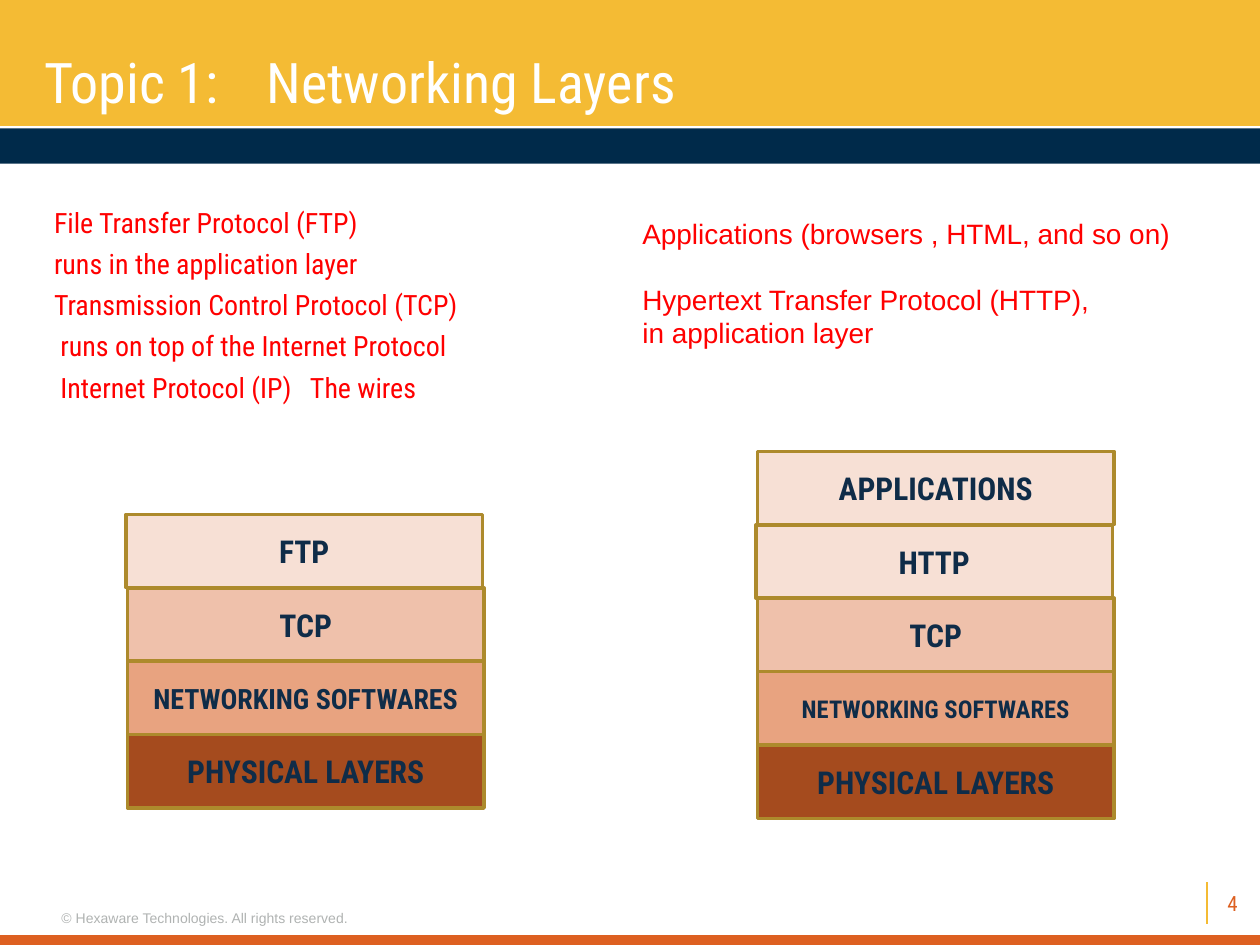
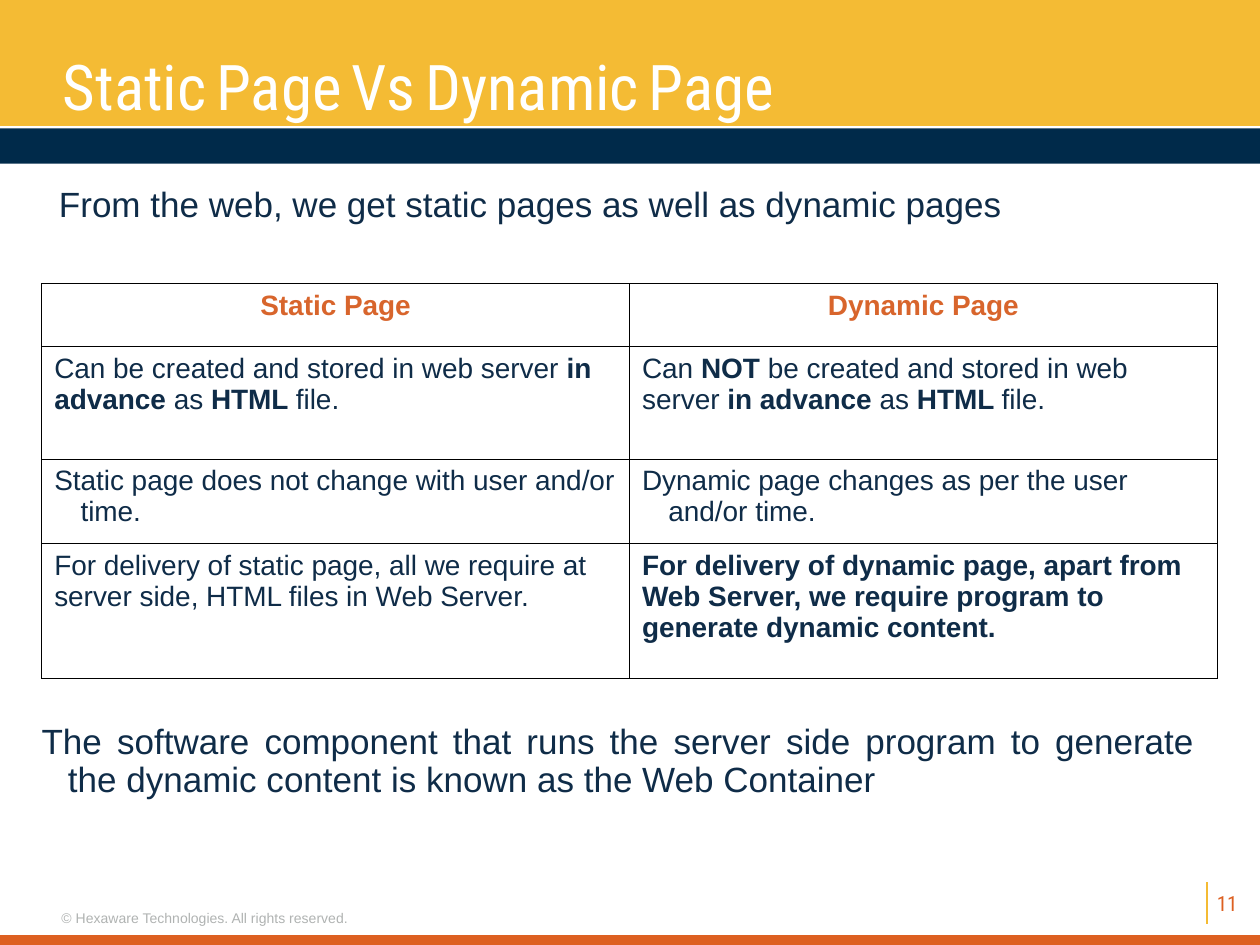
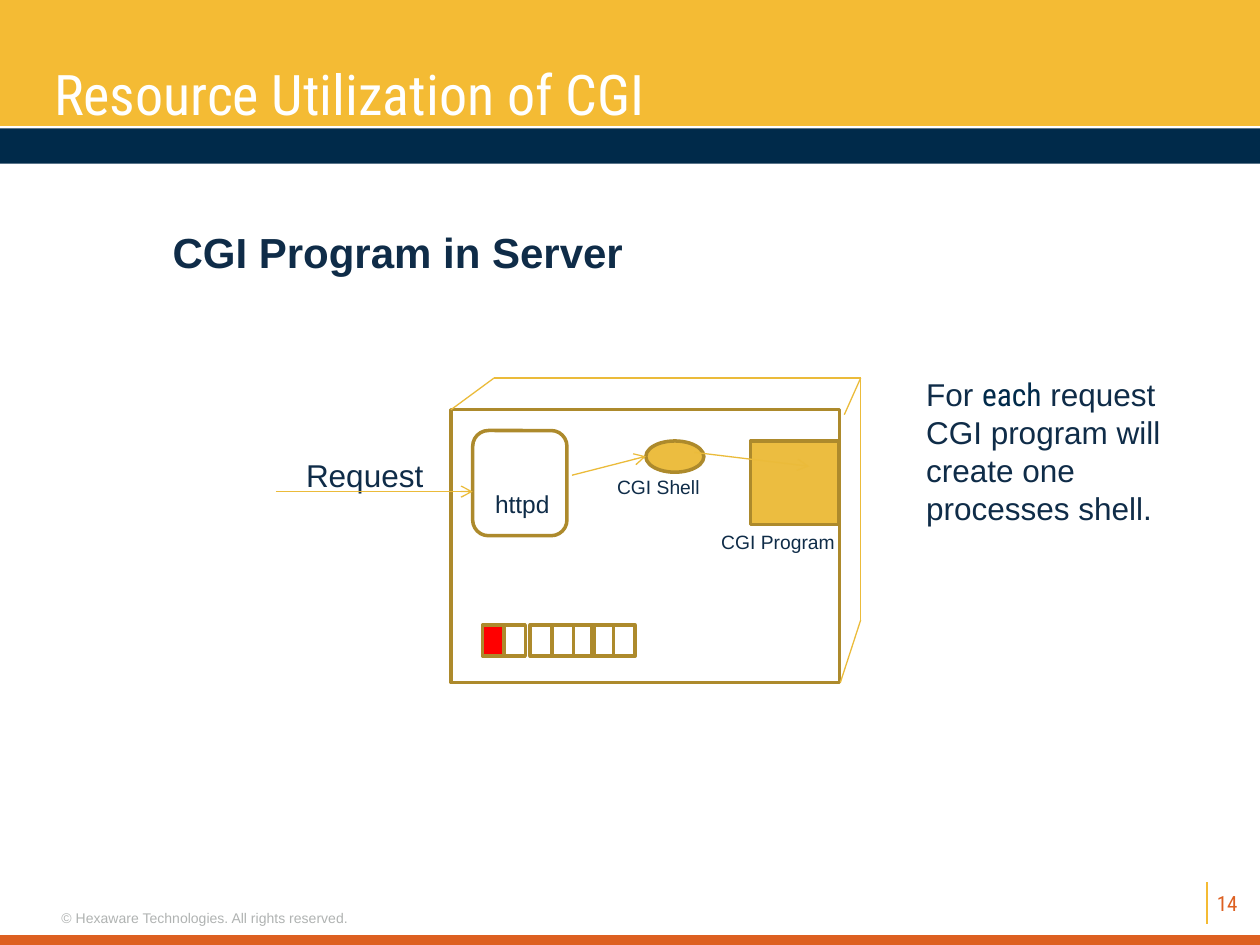
from lxml import etree
from pptx import Presentation
from pptx.dml.color import RGBColor
from pptx.enum.shapes import MSO_CONNECTOR, MSO_SHAPE
from pptx.enum.text import MSO_ANCHOR, PP_ALIGN
from pptx.oxml.ns import qn
from pptx.util import Cm, Pt

RECT, ROUND = MSO_SHAPE.RECTANGLE, MSO_SHAPE.ROUNDED_RECTANGLE
PROC, OVAL = MSO_SHAPE.FLOWCHART_PROCESS, MSO_SHAPE.OVAL
LEFT, MID = PP_ALIGN.LEFT, PP_ALIGN.CENTER
RIGHT, JUST = PP_ALIGN.RIGHT, PP_ALIGN.JUSTIFY
CENTER = MSO_ANCHOR.MIDDLE
LINE = MSO_CONNECTOR.STRAIGHT

HUES = {
    "gold": "F4BB34", "deep": "002A4A", "rust": "DD6021", "gray": "B0B3B2",
    "navy": "0F2C48", "red": "FF0000", "white": "FFFFFF", "head": "D8652C",
    "edge": "AD8A2C", "wire": "EBBB3A", "amber": "ECBD40", "black": "000000",
    "pale": "F7E0D5", "peach": "EFC1AB", "coral": "E8A380", "brick": "A54B1E",
}
RGB = {key: RGBColor.from_string(val) for key, val in HUES.items()}

# Text formats
ROBO, SANS = "Roboto Condensed", "Arial"
TITLE = {"name": ROBO, "size": Pt(32), "ink": "white"}
BIG = {**TITLE, "size": Pt(36)}
PAGE = {"name": ROBO, "size": Pt(12), "ink": "rust"}
FOOT = {"name": SANS, "size": Pt(8), "ink": "gray"}
NOTE = {"name": SANS, "size": Pt(16), "ink": "red"}
BODY = {"name": SANS, "size": Pt(20), "ink": "navy"}
CELL = {**BODY, "size": Pt(16)}
LAYER = {"name": ROBO, "size": Pt(18), "ink": "navy", "bold": True}


def write(frame, paras, fmt, hang=0, tab=0, **lay):
    """Fill a text frame; a paragraph is a string or a list of (text, format)."""
    frame.word_wrap = True
    for i, runs in enumerate(paras):
        para = frame.add_paragraph() if i else frame.paragraphs[0]
        for key, val in lay.items():
            if i or key != "space_before":
                setattr(para, key, val)
        props = para._p.get_or_add_pPr()
        if hang:
            props.set("marL", str(Cm(hang)))
            props.set("indent", str(-Cm(hang)))
        if tab:
            tabs = etree.SubElement(props, qn("a:tabLst"))
            etree.SubElement(tabs, qn("a:tab"), pos=str(Cm(tab)), algn="l")
        for text, more in [(runs, {})] if isinstance(runs, str) else runs:
            run = para.add_run()
            run.text = text
            for key, val in {**fmt, **more}.items():
                if key == "ink":
                    run.font.color.rgb = RGB[val]
                else:
                    setattr(run.font, key, val)


def put(slide, kind, at, paras=(), fmt=None, fill=None, line=None, **lay):
    """Add a preset shape, or a text box when kind is None."""
    spot = [Cm(n) for n in at]
    if kind is None:
        shape = slide.shapes.add_textbox(*spot)
    else:
        shape = slide.shapes.add_shape(kind, *spot)
        shape.shadow.inherit = False
        if fill:
            shape.fill.solid()
            shape.fill.fore_color.rgb = RGB[fill]
        else:
            shape.fill.background()
        if line:
            shape.line.color.rgb = RGB[line]
            shape.line.width = Pt(2)
        else:
            shape.line.fill.background()
    write(shape.text_frame, paras, fmt, **lay)
    return shape


deck = Presentation()
deck.slide_width, deck.slide_height = Cm(25.4), Cm(19.05)
links = []

# Shared bands, footer and page number
pages = []
for num in ("4", "11", "14"):
    slide = deck.slides.add_slide(deck.slide_layouts[6])
    pages.append(slide)
    for top, high, hue in ((0, 2.54, "gold"), (2.59, 0.71, "deep"), (18.85, 0.2, "rust")):
        put(slide, RECT, (0, top, 25.4, high), fill=hue)
    links.append((slide, (24.33, 17.78, 24.33, 18.62), "gold", False))
    mark = put(slide, None, (24.13, 17.78, 1.07, 0.84), [num], PAGE, alignment=RIGHT)
    mark.text_frame.vertical_anchor = CENTER
    put(slide, None, (0.99, 18.21, 6.43, 0.61),
        ["© Hexaware Technologies. All rights reserved."], FOOT)
nets, webs, cgi = pages

# Networking layers: title and notes
put(nets, None, (0.64, 0.84, 20.32, 1.63), ["Topic 1:\tNetworking Layers"], TITLE, tab=4.48)
ftp = put(nets, None, (0.84, 4.01, 10.6, 4.45), [
    "File Transfer Protocol (FTP)",
    "runs in the application layer",
    "Transmission Control Protocol (TCP)",
    "runs on top of the Internet Protocol",
    "Internet Protocol (IP)\tThe wires",
], {**NOTE, "name": ROBO}, tab=5.03, space_before=Pt(4.4))
for para in ftp.text_frame.paragraphs[3:]:
    para._p.get_or_add_pPr().set("marL", str(Cm(0.13)))
http = put(nets, None, (12.7, 4.24, 11.23, 3.66), [
    "Applications (browsers , HTML, and so on)",
    "Hypertext Transfer Protocol (HTTP),",
    "in application layer",
], NOTE)
http.text_frame.paragraphs[1].space_before = Pt(18.4)

# Networking layers: the two stacks
wide, high = 7.19, 1.48
base = [("TCP", "peach", 18), ("NETWORKING SOFTWARES", "coral", 16),
        ("PHYSICAL LAYERS", "brick", 18)]
stacks = [
    (2.57, 10.37, [("FTP", "pale", 18)] + base),
    (15.27, 9.1, [("APPLICATIONS", "pale", 18), ("HTTP", "pale", 18), base[0],
                  ("NETWORKING SOFTWARES", "coral", 14), base[2]]),
]
for left, top, layers in stacks:
    for i, (name, hue, size) in enumerate(layers):
        nudge = 0.03 if name in ("FTP", "HTTP") else 0
        put(nets, RECT, (left - nudge, top + i * high, wide, high), [name],
            {**LAYER, "size": Pt(size)}, hue, "edge", alignment=MID)

# Static and dynamic pages: comparison table
rows = [
    ("Static Page", "Dynamic Page"),
    ("Can be created and stored in web server *in advance *as* HTML *file.",
     "Can *NOT *be created and stored in web server *in advance *as* HTML *file."),
    ("Static page does not change with user and/or time.",
     "Dynamic page changes as per the user and/or time."),
    ("For delivery of static page, all we require at server side, "
     "HTML files in Web Server.",
     "*For delivery of dynamic page, apart from Web Server, "
     "we require program to generate dynamic content."),
]
table = webs.shapes.add_table(4, 2, Cm(0.84), Cm(5.72), Cm(23.7), Cm(7.96)).table
for col in table.columns:
    col.width = Cm(11.85)
for r, tall in enumerate((1.27, 2.27, 1.7, 2.72)):
    table.rows[r].height = Cm(tall)
    for c, text in enumerate(rows[r]):
        cell = table.cell(r, c)
        props = cell._tc.get_or_add_tcPr()
        for side in ("a:lnL", "a:lnR", "a:lnT", "a:lnB"):
            rule = etree.SubElement(props, qn(side), w=str(Pt(0.45)))
            ink = etree.SubElement(rule, qn("a:solidFill"))
            etree.SubElement(ink, qn("a:srgbClr"), val=HUES["black"])
        cell.fill.solid()
        cell.fill.fore_color.rgb = RGB["white"]
        runs = [(part, {"bold": r == 0 or i % 2 == 1})
                for i, part in enumerate(text.split("*")) if part]
        write(cell.text_frame, [runs], {**CELL, "ink": "navy" if r else "head"},
              hang=0.53 if r == 2 else 0, alignment=LEFT if r else MID)

# Static and dynamic pages: texts
put(webs, None, (0.94, 3.66, 19.8, 1.02),
    ["From the web, we get static pages as well as dynamic pages"], BODY, line_spacing=0.9)
last = put(webs, None, (0.84, 14.61, 23.5, 2.11),
           ["The software component that runs the server side program to generate "
            "the dynamic content is known as the Web Container"],
           BODY, hang=0.53, alignment=JUST, line_spacing=0.9)
last.text_frame.margin_left = last.text_frame.margin_top = 0
runs = []
for word in "Static Page Vs Dynamic Page".split():
    runs += [(" ", BODY), (word, {})]
put(webs, None, (1.02, 0.84, 17.07, 1.78), [runs[1:]], BIG)

# CGI server: shapes
for kind, at, hue in (
    (PROC, (9.09, 8.26, 7.83, 5.5), None),
    (OVAL, (13.02, 8.89, 1.17, 0.63), "amber"),
    (PROC, (15.13, 8.89, 1.78, 1.68), "amber"),
    (ROUND, (9.53, 8.68, 1.9, 2.12), None),
):
    put(cgi, kind, at, fill=hue, line="edge")
for i, left in enumerate((9.73, 10.16, 10.69, 11.13, 11.56, 11.94, 12.37)):
    put(cgi, PROC, (left, 12.6, 0.43, 0.63), fill=None if i else "red", line="edge")

# CGI server: texts
each = [("For ", {}), ("each", {"name": ROBO, "ink": "deep"}),
        (" request CGI program will create one processes shell.", {})]
for at, para, size, bold in (
    ((3.23, 4.45, 9.9, 1.27), "CGI Program in Server", 24, True),
    ((5.92, 9.07, 3.18, 1.02), "Request", 18, False),
    ((9.73, 9.73, 1.73, 0.86), "httpd", 14, False),
    ((12.19, 9.45, 2.79, 0.74), "CGI Shell", 11, False),
    ((14.29, 10.57, 4.01, 0.74), "CGI Program", 11, False),
    ((18.42, 7.44, 5.92, 3.3), each, 18, False),
):
    put(cgi, None, at, [para], {**BODY, "size": Pt(size), "bold": bold})
put(cgi, None, (0.84, 1.07, 22.86, 1.63), ["Resource Utilization of CGI"], TITLE)

# CGI server: box depth, then arrows
edges = [(9.09, 8.26, 9.96, 7.62), (9.96, 7.62, 17.35, 7.62), (17.35, 7.62, 17.35, 12.5),
         (17.35, 12.5, 16.94, 13.76), (17.02, 8.36, 17.35, 7.62)]
calls = [(11.53, 9.58, 13.02, 9.2), (14, 9.12, 16.31, 9.4), (5.56, 9.91, 9.53, 9.91)]
links += [(cgi, ends, "wire", ends in calls) for ends in edges + calls]

# All lines
for slide, ends, hue, arrow in links:
    link = slide.shapes.add_connector(LINE, *[Cm(n) for n in ends])
    link.line.color.rgb = RGB[hue]
    link.line.width = Pt(0.75)
    props = link._element.spPr
    if arrow:
        etree.SubElement(props.find(qn("a:ln")), qn("a:tailEnd"), type="arrow")
    etree.SubElement(props, qn("a:effectLst"))

deck.save("out.pptx")
